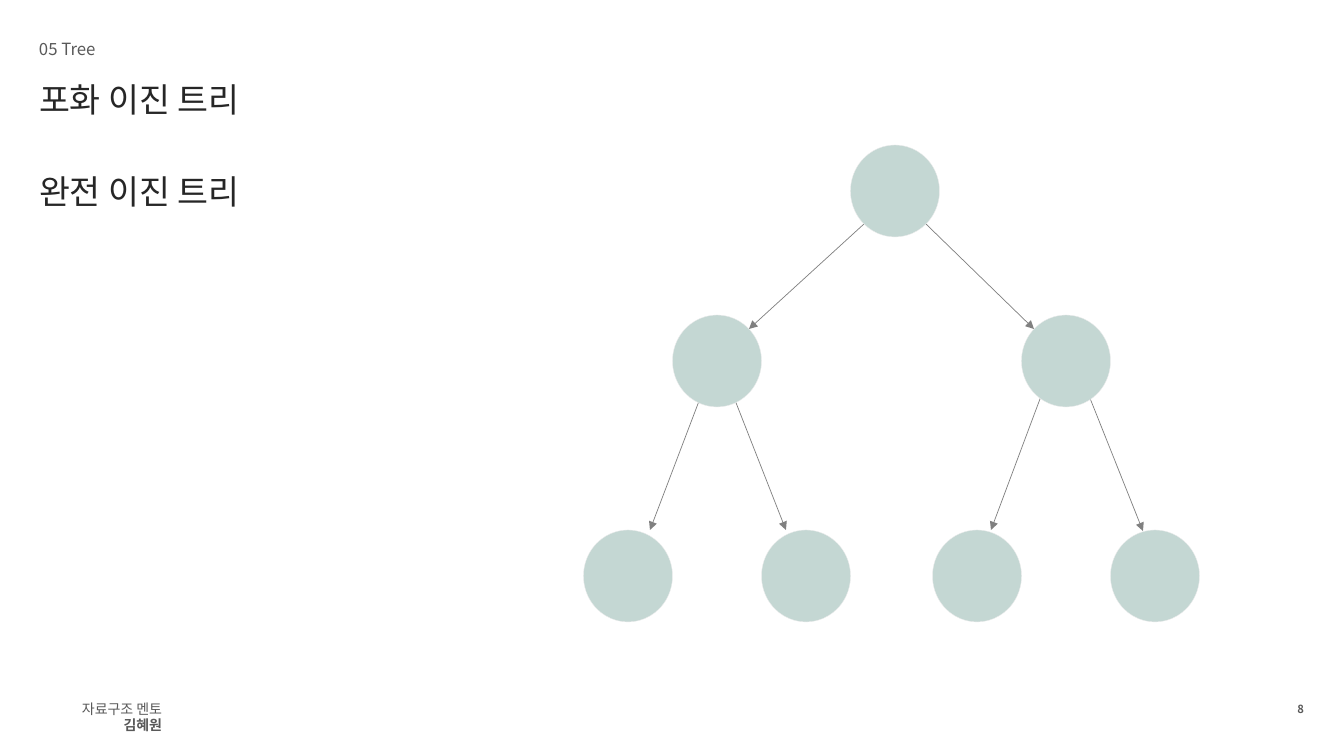
from lxml import etree
from pptx import Presentation
from pptx.dml.color import RGBColor
from pptx.enum.shapes import MSO_CONNECTOR, MSO_SHAPE
from pptx.enum.text import PP_ALIGN
from pptx.oxml.ns import qn
from pptx.util import Emu, Pt

STRAIGHT = MSO_CONNECTOR.STRAIGHT
CIRCLE = MSO_SHAPE.FLOWCHART_CONNECTOR
LEFT, RIGHT = PP_ALIGN.LEFT, PP_ALIGN.RIGHT

PAGE_WIDTH, PAGE_HEIGHT = 1344, 756
NODE_WIDTH, NODE_HEIGHT = 89, 92
ROOT = (895, 191)
CHILD_Y, LEAF_Y, LEAF_OFFSET = 361, 576, 89
CHILD_XS = (717, 1066)
# Each edge: start and end points.
EDGES = [
    ((864, 224), (749, 329)),
    ((926, 224), (1034, 329)),
    ((712, 367), (650, 530)),
    ((722, 367), (786, 530)),
    ((1052, 367), (991, 530)),
    ((1078, 368), (1143, 531)),
]


def px(value):
    """Turn pixels into EMU."""
    return Emu(round(value * 914400 / 100.8))


def color(code):
    """Turn a hex string into a colour."""
    return RGBColor.from_string(code)


def add_text(para, text, font="Noto Sans CJK KR", size=12, ink="595959", bold=False):
    """Add a formatted span of text to a paragraph."""
    span = para.add_run()
    span.text = text
    span.font.name = font
    span.font.size = Pt(size)
    span.font.bold = bold
    span.font.color.rgb = color(ink)
    properties = span.font._element
    etree.SubElement(properties, qn("a:ea"), typeface=font)


class TreePage:
    """Hold the tree's style and the current slide."""

    node_fill, node_line, edge_line = "C4D7D3", "EDEDED", "808080"

    def __init__(self, deck):
        """Add a blank slide to the deck."""
        self.shapes = deck.slides.add_slide(deck.slide_layouts[6]).shapes

    def text(self, left, top, width, height, lines, align=LEFT,
             spacing=None, gap=0, wrap=False):
        """Add a text box; each line is a (text, format) pair."""
        box = self.shapes.add_textbox(px(left), px(top), px(width), px(height))
        frame = box.text_frame
        frame.word_wrap = wrap
        frame.margin_left = frame.margin_right = 0
        frame.margin_top = frame.margin_bottom = 0
        for index, (text, style) in enumerate(lines):
            para = frame.add_paragraph() if index else frame.paragraphs[0]
            para.alignment = align
            para.line_spacing = spacing
            para.space_before = Pt(gap if index else 0)
            add_text(para, text, **style)

    def node(self, x, y):
        """Add a tree node centred on a point."""
        shape = self.shapes.add_shape(
            CIRCLE, px(x - NODE_WIDTH / 2), px(y - NODE_HEIGHT / 2),
            px(NODE_WIDTH), px(NODE_HEIGHT))
        shape.shadow.inherit = False
        shape.fill.solid()
        shape.fill.fore_color.rgb = color(self.node_fill)
        shape.line.color.rgb = color(self.node_line)
        shape.line.width = Pt(0.25)

    def edge(self, start, end):
        """Add an arrow between two points."""
        arrow = self.shapes.add_connector(STRAIGHT, *map(px, start + end))
        arrow.line.color.rgb = color(self.edge_line)
        arrow.line.width = Pt(0.5)
        etree.SubElement(arrow.line._get_or_add_ln(), qn("a:tailEnd"), type="triangle")
        etree.SubElement(arrow._element.spPr, qn("a:effectLst"))


def main():
    """Build the binary tree slide."""
    deck = Presentation()
    deck.slide_width, deck.slide_height = px(PAGE_WIDTH), px(PAGE_HEIGHT)
    page = TreePage(deck)

    page.text(39, 39, 57, 20, [("05 Tree", {})])
    title = {"size": 24, "ink": "262626"}
    page.text(39, 73, 263, 137, [("포화 이진 트리", title), ("완전 이진 트리", title)],
              spacing=1.14, gap=33, wrap=True)
    page.text(39, 700, 123, 34,
              [("자료구조 멘토", {"size": 10}), ("김혜원", {"size": 10, "bold": True})],
              align=RIGHT, wrap=True)
    page.text(1278, 702, 26, 13, [("8", {"size": 8, "bold": True})],
              align=RIGHT, wrap=True)

    for start, end in EDGES:
        page.edge(start, end)
    page.node(*ROOT)
    for child_x in CHILD_XS:
        page.node(child_x, CHILD_Y)
        for side in (-1, 1):
            page.node(child_x + side * LEAF_OFFSET, LEAF_Y)

    deck.save("out.pptx")


main()
